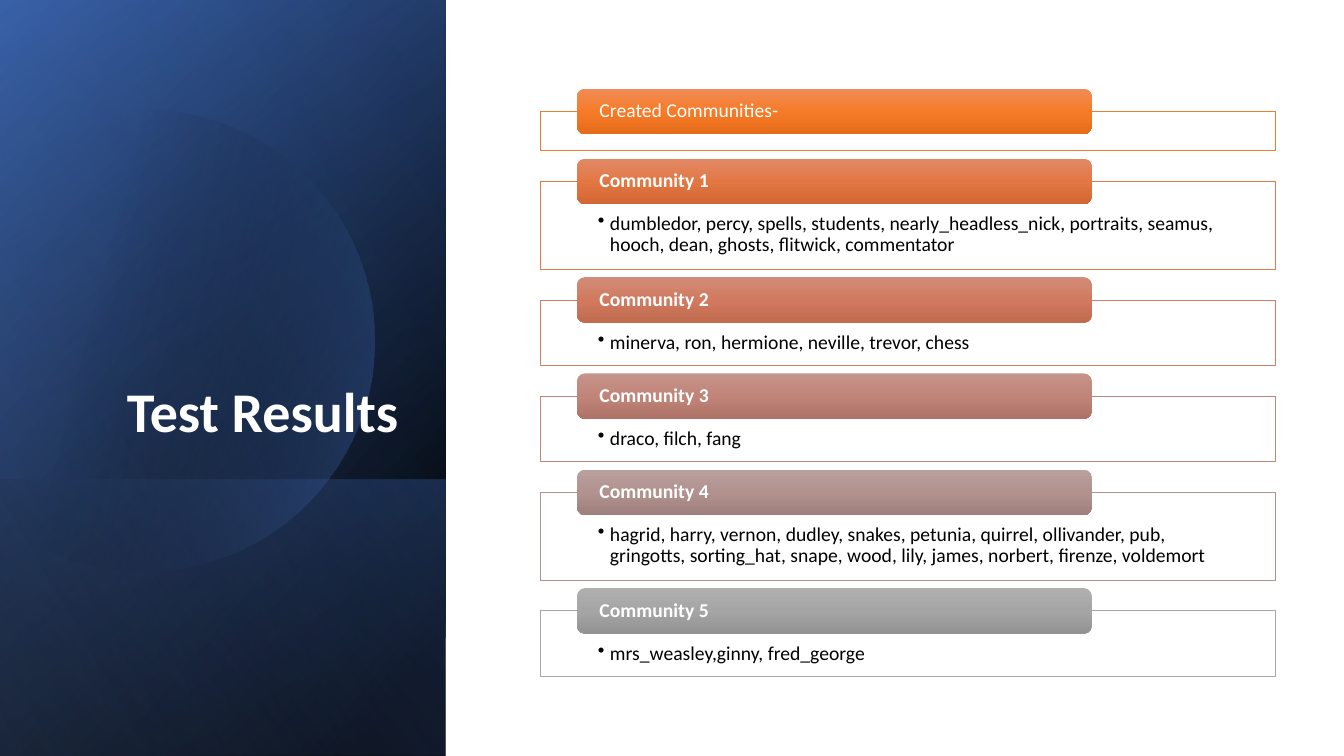
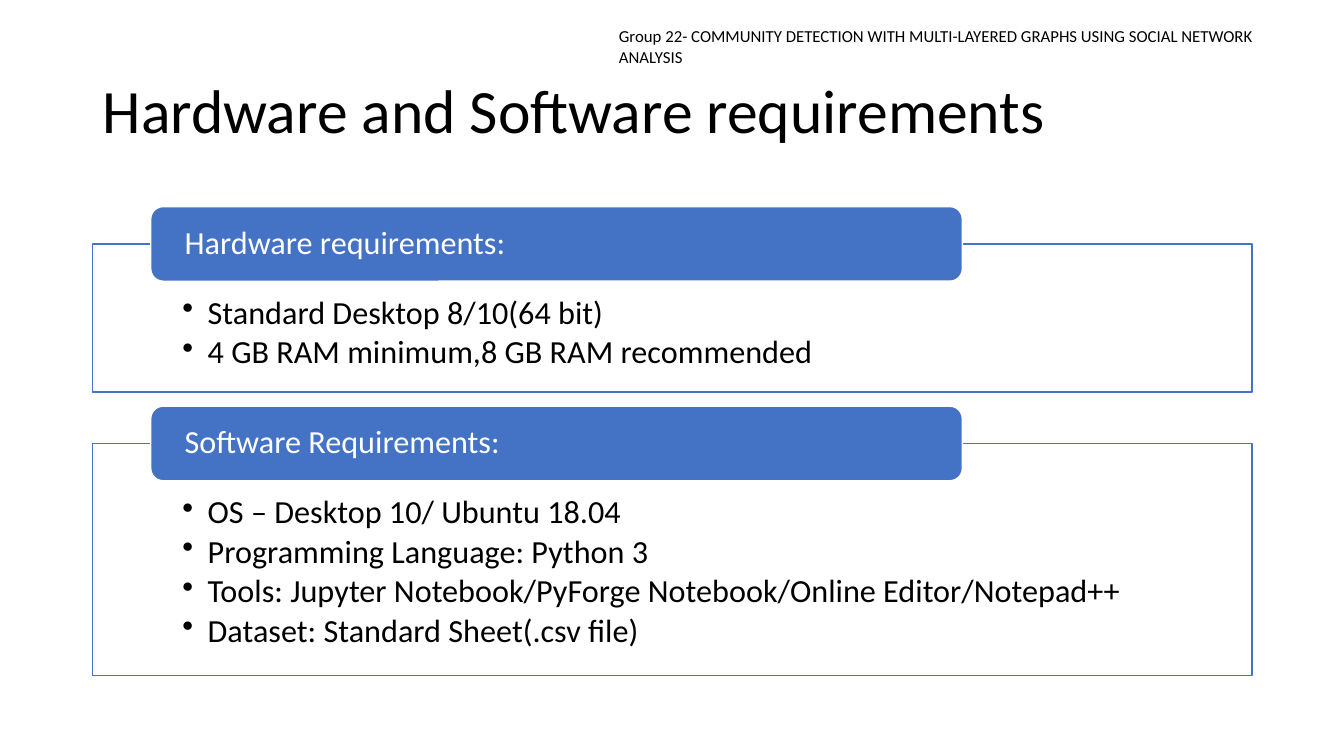
import math

from lxml import etree
from pptx import Presentation
from pptx.dml.color import RGBColor
from pptx.enum.shapes import MSO_SHAPE
from pptx.enum.text import MSO_ANCHOR, PP_ALIGN
from pptx.oxml import parse_xml
from pptx.oxml.ns import nsdecls, qn
from pptx.util import Inches, Pt

# Shared style
FONT = "Calibri"
COLORS = {
    "white": "FFFFFF", "black": "000000", "blue": "4472C4",
    "navy": "2F5597", "pale": "8FAADC",
}

# Content: heading, heading bold, bullets, frame height, line, tab fill
COMMUNITIES = [
    ("Created Communities-", False, [], 0.39,
     "ED7D31", ("F18C57", "F67B28", "E56C19")),
    ("Community 1", True,
     ["dumbledor, percy, spells, students, nearly_headless_nick, portraits, "
      "seamus, hooch, dean, ghosts, flitwick, commentator"], 0.87,
     "DC7A4B", ("E18A66", "E37744", "D26734")),
    ("Community 2", True,
     ["minerva, ron, hermione, neville, trevor, chess"], 0.65,
     "CC7D64", ("D28C78", "D17A5F", "C06A4E")),
    ("Community 3", True, ["draco, filch, fang"], 0.65,
     "BD867B", ("C5948B", "C18478", "AF7267")),
    ("Community 4", True,
     ["hagrid, harry, vernon, dudley, snakes, petunia, quirrel, ollivander, "
      "pub, gringotts, sorting_hat, snape, wood, lily, james, norbert, "
      "firenze, voldemort"], 0.87,
     "B09391", ("B9A09D", "B2928F", "A0807D")),
    ("Community 5", True, ["mrs_weasley,ginny, fred_george"], 0.65,
     "A5A5A5", ("AFAFAF", "A5A5A5", "939393")),
]
REQUIREMENTS = [
    ("Hardware requirements:", False,
     ["Standard Desktop 8/10(64 bit)",
      "4 GB RAM minimum,8 GB RAM recommended"], 1.47, COLORS["blue"], None),
    ("Software Requirements:", False,
     ["OS – Desktop 10/ Ubuntu 18.04",
      "Programming Language: Python 3",
      "Tools: Jupyter Notebook/PyForge Notebook/Online Editor/Notepad++",
      "Dataset: Standard Sheet(.csv file)"], 2.3, COLORS["blue"], None),
]
HEADER = ("Group 22- COMMUNITY DETECTION WITH MULTI-LAYERED GRAPHS "
          "USING SOCIAL NETWORK ANALYSIS")

# Layout of the two lists
COMMUNITY_LIST = dict(left=5.36, top=0.88, width=7.29, tab_h=0.45, gap=0.08,
                      size=14, tab_inset=0.2, insets=(0.57, 0.32, 0.57, 0.11),
                      indent=0.12, after=2, line_w=0.5)
REQUIREMENT_LIST = dict(left=0.92, top=2.05, width=11.5, tab_h=0.74, gap=0.14,
                        size=23, tab_inset=0.3, insets=(0.89, 0.52, 0.89, 0.18),
                        indent=0.25, after=3.45, line_w=1)

# Side band: top, height, angle, stops (position, colour, opacity)
BAND_W = 4.42
BASE_PANELS = [
    (0, 7.5, 50, [(8, "black", 100), (100, "navy", 100)]),
    (0, 7.5, 30, [(0, "black", 0), (99, "blue", 46)]),
    (4.76, 2.74, 130, [(2, "blue", 29), (100, "black", 30)]),
]
TOP_PANEL = (0, 7.5, 120, [(0, "black", 0), (99, "pale", 11)])
DISC_X, DISC_Y, DISC_R = 1.42, 3.38, 2.29
DISC_STOPS = [(29, "black", 0), (100, "blue", 43)]


def rgb(value):
    return RGBColor.from_string(value)


def fill_gradient(sp, angle, stops):
    gs = "".join(
        f'<a:gs pos="{pos * 1000}"><a:srgbClr val="{color}">'
        f'<a:alpha val="{alpha * 1000}"/></a:srgbClr></a:gs>'
        for pos, color, alpha in stops)
    grad = parse_xml(
        f'<a:gradFill {nsdecls("a")} rotWithShape="1"><a:gsLst>{gs}</a:gsLst>'
        f'<a:lin ang="{angle * 60000}" scaled="0"/></a:gradFill>')
    sp.fill.background()
    props = sp._element.spPr
    props.replace(props.find(qn("a:noFill")), grad)


def named(stops):
    return [(pos, COLORS[name], alpha) for pos, name, alpha in stops]


def add_box(s, kind, left, top, width, height, fill=None, line=None, line_w=1):
    sp = s.shapes.add_shape(kind, Inches(left), Inches(top),
                            Inches(width), Inches(height))
    sp.shadow.inherit = False
    if fill:
        sp.fill.solid()
        sp.fill.fore_color.rgb = rgb(fill)
    if line:
        sp.line.color.rgb = rgb(line)
        sp.line.width = Pt(line_w)
    else:
        sp.line.fill.background()
    return sp


def write(sp, lines, size, color, bold=False, anchor=MSO_ANCHOR.TOP,
          insets=(0.1, 0.05, 0.1, 0.05), align=PP_ALIGN.LEFT, spacing=0.9,
          bullet=None, after=0):
    tf = sp.text_frame
    tf.word_wrap = True
    tf.vertical_anchor = anchor
    (tf.margin_left, tf.margin_top,
     tf.margin_right, tf.margin_bottom) = map(Inches, insets)
    for i, line in enumerate(lines):
        p = tf.add_paragraph() if i else tf.paragraphs[0]
        p.text = line
        if bullet:
            pPr = p._p.get_or_add_pPr()
            pPr.set("marL", str(Inches(bullet)))
            pPr.set("indent", str(-Inches(bullet)))
            etree.SubElement(pPr, qn("a:buChar")).set("char", "•")
        p.alignment = align
        p.line_spacing = spacing
        p.space_after = Pt(after)
        f = p.runs[0].font
        f.name, f.size, f.bold = FONT, Pt(size), bold
        f.color.rgb = rgb(color)


def add_text(s, left, top, width, height, text, size, color, **style):
    sp = s.shapes.add_textbox(Inches(left), Inches(top),
                              Inches(width), Inches(height))
    write(sp, [text], size, color, **style)


def add_panel(s, top, height, angle, stops):
    # A quarter turn swaps the sides around the same centre
    shift = (height - BAND_W) / 2
    sp = add_box(s, MSO_SHAPE.RECTANGLE, -shift, top + shift, height, BAND_W)
    fill_gradient(sp, angle, named(stops))
    sp.rotation = 90
    sp._element.spPr.find(qn("a:xfrm")).set("flipH", "1")


def add_disc(s):
    # Circle cut off by the left edge of the slide
    end = math.acos(-DISC_X / DISC_R)
    steps = 120
    angles = [-end + 2 * end * i / steps for i in range(steps + 1)]
    points = [(Inches(DISC_X + DISC_R * math.cos(a)),
               Inches(DISC_Y + DISC_R * math.sin(a))) for a in angles]
    fb = s.shapes.build_freeform(*points[0])
    fb.add_line_segments(points[1:], close=True)
    sp = fb.convert_to_shape()
    sp.shadow.inherit = False
    sp.line.fill.background()
    fill_gradient(sp, 14, named(DISC_STOPS))


def add_tab_list(s, items, left, top, width, tab_h, gap, size, tab_inset,
                 insets, indent, after, line_w):
    for heading, bold, bullets, frame_h, line, shades in items:
        frame_top = top + tab_h / 2
        frame = add_box(s, MSO_SHAPE.RECTANGLE, left, frame_top, width, frame_h,
                        COLORS["white"], line, line_w)
        write(frame, bullets, size, COLORS["black"], insets=insets,
              bullet=indent, after=after)
        tab = add_box(s, MSO_SHAPE.ROUNDED_RECTANGLE, left + 0.05 * width, top,
                      0.7 * width, tab_h, line,
                      None if shades else COLORS["white"])
        if shades:
            fill_gradient(tab, 90, [(50 * i, c, 100) for i, c in enumerate(shades)])
        write(tab, [heading], size, COLORS["white"], bold=bold,
              anchor=MSO_ANCHOR.MIDDLE, insets=(tab_inset, 0, tab_inset, 0))
        top = frame_top + frame_h + gap


def main():
    prs = Presentation()
    prs.slide_width, prs.slide_height = Inches(13.33), Inches(7.5)
    blank = prs.slide_layouts[6]

    # Test results
    s = prs.slides.add_slide(blank)
    for panel in BASE_PANELS:
        add_panel(s, *panel)
    add_disc(s)
    add_panel(s, *TOP_PANEL)
    add_text(s, 0.64, 1.84, 3.41, 2.62, "Test Results", 40, COLORS["white"],
             bold=True, anchor=MSO_ANCHOR.BOTTOM, align=PP_ALIGN.RIGHT)
    add_tab_list(s, COMMUNITIES, **COMMUNITY_LIST)

    # Requirements
    s = prs.slides.add_slide(blank)
    add_text(s, 0.92, 0.4, 11.5, 1.45, "Hardware and Software requirements",
             44, COLORS["black"], anchor=MSO_ANCHOR.MIDDLE)
    add_tab_list(s, REQUIREMENTS, **REQUIREMENT_LIST)
    add_text(s, 6.04, 0.21, 7.13, 0.3, HEADER, 12, COLORS["black"], spacing=1.0)

    prs.save("out.pptx")


if __name__ == "__main__":
    main()
